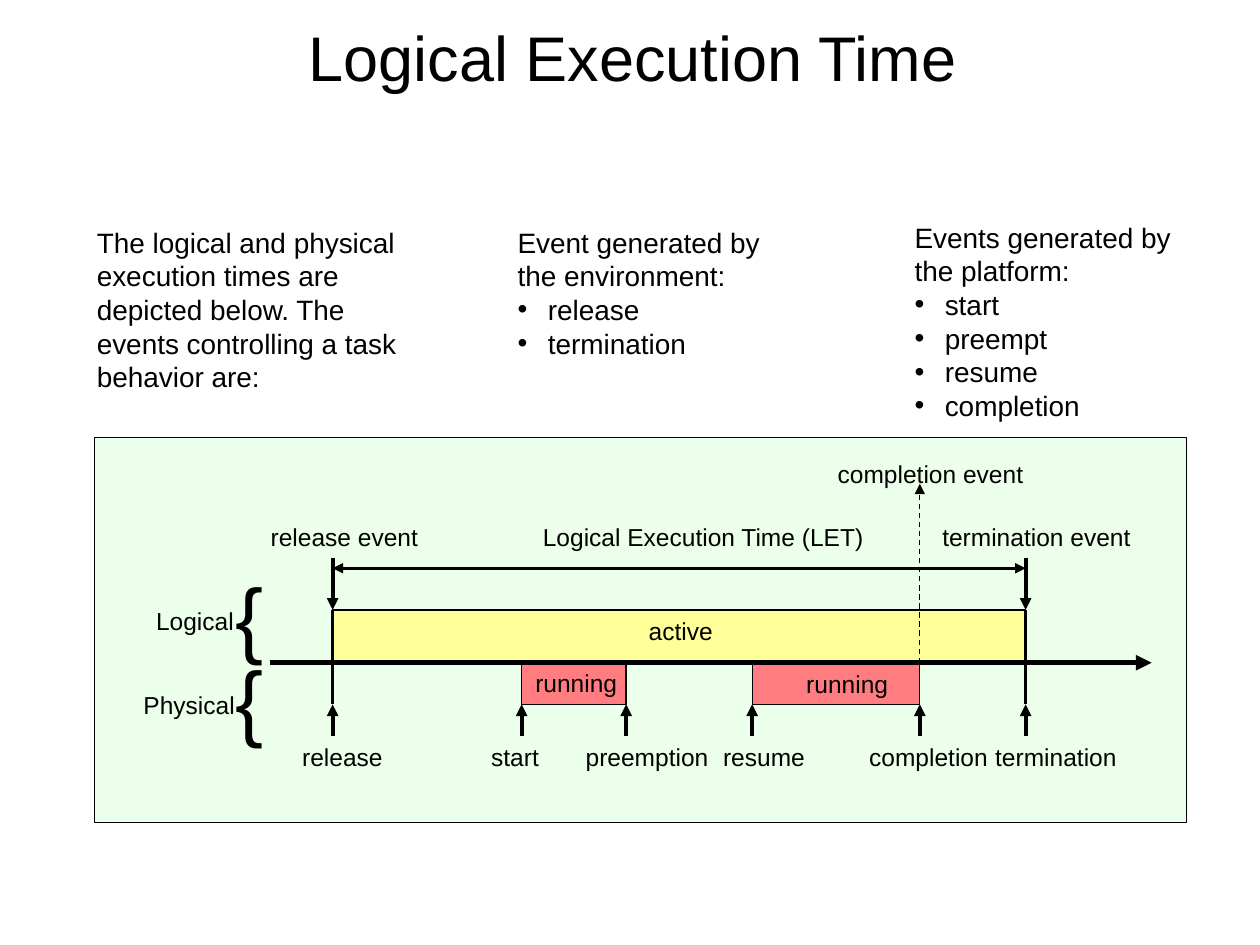
from copy import deepcopy

from lxml import etree
from pptx import Presentation
from pptx.dml.color import RGBColor
from pptx.enum.dml import MSO_LINE
from pptx.enum.shapes import MSO_CONNECTOR, MSO_SHAPE
from pptx.enum.text import MSO_ANCHOR, MSO_AUTO_SIZE, PP_ALIGN
from pptx.oxml.ns import qn
from pptx.util import Inches, Pt

RECT = MSO_SHAPE.RECTANGLE
STRAIGHT = MSO_CONNECTOR.STRAIGHT
DASH = MSO_LINE.DASH
MIDDLE = MSO_ANCHOR.MIDDLE
CENTER = PP_ALIGN.CENTER
FIT = MSO_AUTO_SIZE.SHAPE_TO_FIT_TEXT
NO_FIT = MSO_AUTO_SIZE.NONE

COLORS = {
    "ink": "000000",
    "panel": "EBFFEB",
    "active": "FFFF99",
    "running": "FF7C80",
}
FONT = "Arial"
SLACK = 0.06
RELEASE, START, PREEMPT, RESUME, COMPLETE, TERMINATE = 2.64, 4.14, 4.97, 5.97, 7.3, 8.14
EVENT_TOP, ACTIVE_TOP, AXIS, RUN_BOTTOM, TICK_BOTTOM = 4.43, 4.84, 5.26, 5.59, 5.84
EVENT_LABEL_TOP, LABEL_HEIGHT = 4.09, 0.34

TICKS = [
    ("release", RELEASE, 2.3, 0.84),
    ("start", START, 3.8, 0.58),
    ("preemption", PREEMPT, 4.55, 1.17),
    ("resume", RESUME, 5.64, 0.85),
    ("completion", COMPLETE, 6.8, 1.14),
    ("termination", TERMINATE, 7.8, 1.16),
]
RUNS = [(START, PREEMPT, 4.15, 5.25), (RESUME, COMPLETE, 6.3, 5.26)]
EVENTS = [
    ("release event", RELEASE, 2.05, 1.37),
    ("termination event", TERMINATE, 7.38, 1.69),
]
LEVELS = [("Physical", 1.04, 5.43, 0.92, 5.09), ("Logical", 1.14, 4.76, 0.82, 4.43)]
NOTES = [
    ("The logical and physical execution times are depicted below. "
     "The events controlling a task behavior are:", [], (0.67, 1.74, 2.76, 1.44), True),
    ("Events generated by\vthe platform:",
     ["start", "preempt", "resume", "completion"], (7.16, 1.7, 2.23, 1.7), False),
    ("Event generated by\vthe environment:",
     ["release", "termination"], (4.01, 1.74, 2.24, 1.17), True),
]


def rgb(name):
    return RGBColor.from_string(COLORS[name])


def set_font(p, size):
    for r in p.runs:
        for name, value in {"name": FONT, "size": Pt(size)}.items():
            setattr(r.font, name, value)
        r.font.color.rgb = rgb("ink")
    for br in p._p.findall(qn("a:br")):
        br.append(deepcopy(p.runs[0]._r.rPr))


def add_bullet(p):
    pPr = p._p.get_or_add_pPr()
    indent = Inches(0.24)
    pPr.set("marL", str(indent))
    pPr.set("indent", str(-indent))
    etree.SubElement(pPr, qn("a:buFont"), typeface=FONT)
    etree.SubElement(pPr, qn("a:buChar"), char="•")


def add_text(slide, text, box, size=14, wrap=False, bullets=()):
    left, top, width, height = box
    if not wrap:
        width += SLACK
    tf = slide.shapes.add_textbox(*map(Inches, (left, top, width, height))).text_frame
    for name, value in {"word_wrap": wrap, "auto_size": FIT}.items():
        setattr(tf, name, value)
    tf.paragraphs[0].text = text
    for item in bullets:
        p = tf.add_paragraph()
        p.text = item
        add_bullet(p)
    for p in tf.paragraphs:
        set_font(p, size)


def add_box(slide, fill, left, top, right, bottom):
    box = map(Inches, (left, top, right - left, bottom - top))
    sp = slide.shapes.add_shape(RECT, *box)
    sp.shadow.inherit = False
    sp.fill.solid()
    sp.fill.fore_color.rgb = rgb(fill)
    sp.line.color.rgb = rgb("ink")
    sp.line.width = Pt(0.75)


def add_line(slide, start, end, width, ends=("tailEnd",), dash=None):
    cxn = slide.shapes.add_connector(STRAIGHT, *map(Inches, start + end))
    cxn.line.color.rgb = rgb("ink")
    cxn.line.width = Pt(width)
    if dash:
        cxn.line.dash_style = dash
    ln = cxn.line._get_or_add_ln()
    for tag in ends:
        etree.SubElement(ln, qn("a:" + tag), type="triangle")
    etree.SubElement(cxn._element.spPr, qn("a:effectLst"))


def add_title(slide, text):
    sp = slide.shapes.title
    box = {"left": 0.52, "top": 0, "width": 9, "height": 0.9}
    for name, value in box.items():
        setattr(sp, name, Inches(value))
    tf = sp.text_frame
    tf.text = text
    for name, value in {"vertical_anchor": MIDDLE, "auto_size": NO_FIT}.items():
        setattr(tf, name, value)
    tf.paragraphs[0].alignment = CENTER
    set_font(tf.paragraphs[0], 36)


def add_bars(slide):
    add_box(slide, "panel", 0.75, 3.47, 9.42, 6.53)
    add_box(slide, "active", RELEASE, ACTIVE_TOP, TERMINATE, AXIS)
    add_text(slide, "active", (5.05, ACTIVE_TOP, 0.71, LABEL_HEIGHT))
    for start, end, left, top in RUNS:
        add_box(slide, "running", start, AXIS, end, RUN_BOTTOM)
        add_text(slide, "running", (left, top, 0.85, LABEL_HEIGHT))


def add_events(slide):
    for label, x, left, width in TICKS:
        add_line(slide, (x, TICK_BOTTOM), (x, RUN_BOTTOM), 2.25)
        add_text(slide, label, (left, TICK_BOTTOM, width, LABEL_HEIGHT))
    for label, x, left, width in EVENTS:
        add_line(slide, (x, EVENT_TOP), (x, ACTIVE_TOP), 2.25)
        add_text(slide, label, (left, EVENT_LABEL_TOP, width, LABEL_HEIGHT))
        add_line(slide, (x, ACTIVE_TOP), (x, RUN_BOTTOM), 1.5, ())
    add_text(slide, "completion event", (6.55, 3.59, 1.67, LABEL_HEIGHT))
    add_line(slide, (COMPLETE, AXIS), (COMPLETE, 3.84), 0.75, dash=DASH)


def add_axis(slide):
    add_line(slide, (RELEASE, 4.51), (TERMINATE, 4.51), 1.5, ("headEnd", "tailEnd"))
    add_text(slide, "Logical Execution Time (LET)",
             (4.21, EVENT_LABEL_TOP, 2.76, LABEL_HEIGHT))
    for label, left, top, width, brace_top in LEVELS:
        add_text(slide, "{", (1.77, brace_top, 0.36, 0.9), 48, True)
        add_text(slide, label, (left, top, width, LABEL_HEIGHT))
    add_line(slide, (2.14, AXIS), (9.14, AXIS), 3)


def main():
    prs = Presentation()
    prs.slide_width, prs.slide_height = Inches(10), Inches(7.5)
    slide = prs.slides.add_slide(prs.slide_layouts[5])
    add_title(slide, "Logical Execution Time")
    add_bars(slide)
    add_events(slide)
    add_axis(slide)
    for text, bullets, box, wrap in NOTES:
        add_text(slide, text, box, 16, wrap, bullets)
    prs.save("out.pptx")


if __name__ == "__main__":
    main()
